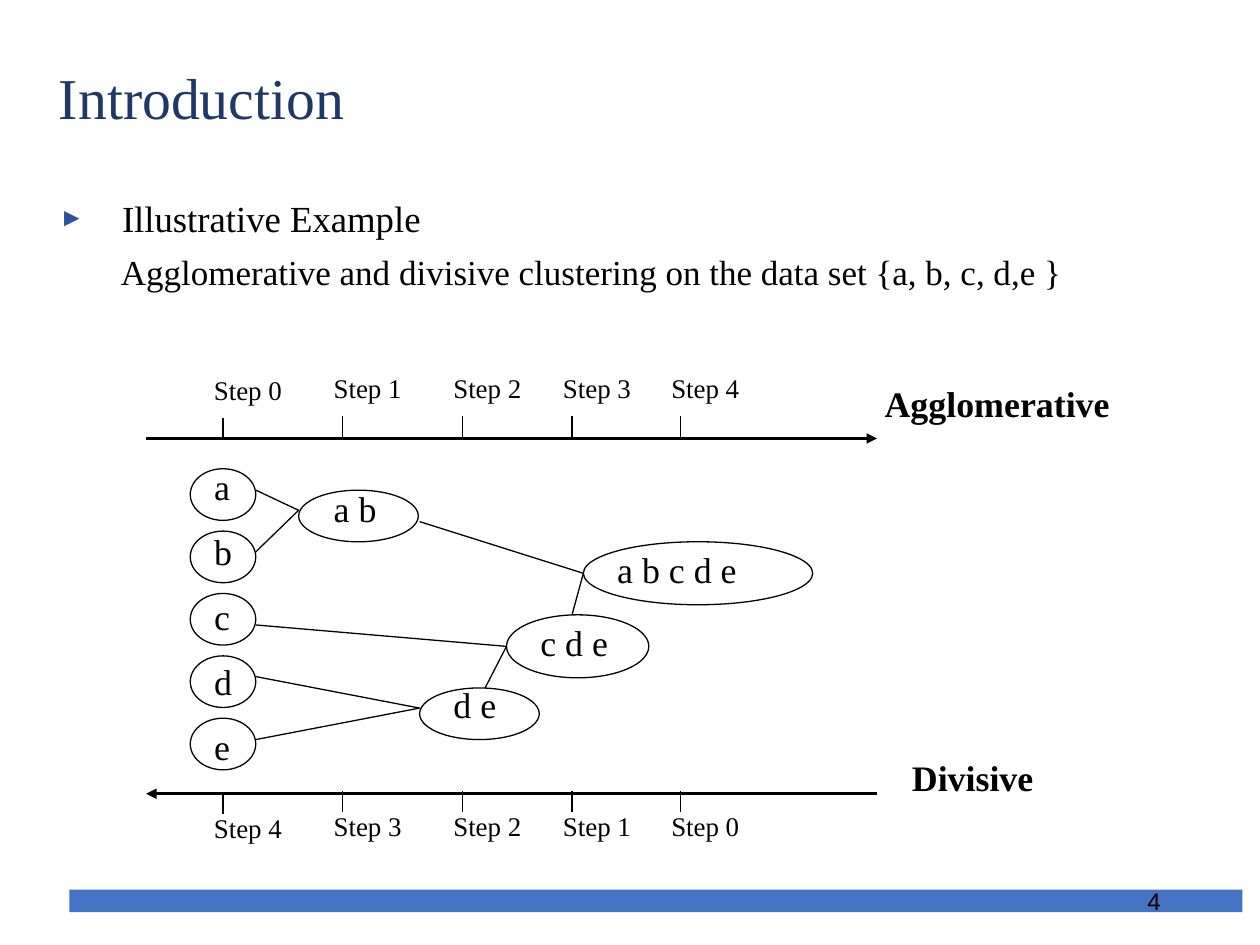
from pptx import Presentation
from pptx.dml.color import RGBColor
from pptx.enum.shapes import MSO_CONNECTOR, MSO_SHAPE
from pptx.enum.text import MSO_ANCHOR, MSO_AUTO_SIZE, PP_ALIGN
from pptx.oxml.ns import qn
from pptx.util import Inches, Pt
from lxml.etree import SubElement

HUES = {"ink": "000000", "title": "203864", "mark": "2F5597", "bar": "4472C4"}
SERIF = "Times New Roman"
STEPS = (17.7, 27.2, 36.7, 45.4, 54)


class Board:
    """Style and slide; lengths are cells of a 100 by 75 grid."""

    def __init__(self, deck):
        self.slide = deck.slides.add_slide(deck.slide_layouts[6])
        self.items = self.slide.shapes
        self.cell = deck.slide_width / 100

    def grid(self, *cells):
        return [round(c * self.cell) for c in cells]

    def hue(self, name):
        return RGBColor.from_string(HUES[name])

    def style(self, para, text, size, hue="ink", face=SERIF, bold=False):
        para.text = text
        font = para.font
        font.name, font.size, font.bold = face, Pt(size), bold
        font.color.rgb = self.hue(hue)

    def text(self, box, text, size, align=PP_ALIGN.LEFT, mid=False,
             wrap=True, **look):
        frame = self.items.add_textbox(*self.grid(*box)).text_frame
        frame.word_wrap = wrap
        if not wrap:
            frame.auto_size = MSO_AUTO_SIZE.SHAPE_TO_FIT_TEXT
        frame.vertical_anchor = MSO_ANCHOR.MIDDLE if mid else MSO_ANCHOR.TOP
        para = frame.paragraphs[0]
        para.alignment = align
        self.style(para, text, size, **look)
        return frame

    def shape(self, kind, box, fill=None):
        item = self.items.add_shape(kind, *self.grid(*box))
        item.shadow.inherit = False
        if fill:
            item.fill.solid()
            item.fill.fore_color.rgb = self.hue(fill)
            item.line.fill.background()
        else:
            item.fill.background()
            item.line.color.rgb = self.hue("ink")
            item.line.width = Pt(0.75)

    def line(self, x1, y1, x2, y2, width=0.75, arrow=None):
        link = self.items.add_connector(
            MSO_CONNECTOR.STRAIGHT, *self.grid(x1, y1, x2, y2))
        link.line.color.rgb = self.hue("ink")
        link.line.width = Pt(width)
        if arrow:
            SubElement(link.line._get_or_add_ln(), qn("a:" + arrow),
                       type="triangle")
        SubElement(link._element.spPr, qn("a:effectLst"))

    def indent(self, para, left, first, before):
        para.line_spacing = 1.1
        para.space_before = Pt(before)
        props = para._p.get_or_add_pPr()
        props.set("marL", str(Inches(left)))
        props.set("indent", str(Inches(first)))
        return props

    def bullet(self, props, mark):
        tint = SubElement(props, qn("a:buClr"))
        SubElement(tint, qn("a:srgbClr"), val=HUES["mark"])
        SubElement(props, qn("a:buSzPct"), val="70000")
        SubElement(props, qn("a:buFont"), typeface="Arial")
        SubElement(props, qn("a:buChar"), char=mark)

    def node(self, text, box, spot):
        """A cluster: its members, and an ellipse around them."""
        width = 2.4 + 1.02 * len(text)
        self.text((*spot, width, 4.5), text, 20.5, wrap=False)
        self.shape(MSO_SHAPE.OVAL, box)

    def axis(self, y, tick, label, names, arrow):
        """A time line with a tick and a label for each step."""
        self.line(11.6, y, 69.6, y, 1.5, arrow)
        for i, (x, name) in enumerate(zip(STEPS, names)):
            drop = 0 if i else 0.15
            self.line(x, tick + drop, x, tick + drop + 1.65)
            self.text((x - 1.7, label + drop, 8.7, 3.6), name, 15.4)


def main():
    deck = Presentation()
    deck.slide_width, deck.slide_height = Inches(10), Inches(7.5)
    board = Board(deck)

    # Footer bar and page number
    board.shape(MSO_SHAPE.RECTANGLE, (5.5, 70.6, 93.1, 1.8), "bar")
    board.text((70.6, 69.5, 22.5, 4), "4", 13.7, PP_ALIGN.RIGHT, True,
               face="Arial")

    # Title and body
    title = board.text((3.7, 2.1, 96.3, 11.8), "Introduction", 33, mid=True,
                       hue="title")
    title.paragraphs[0].line_spacing = 0.9
    body = board.text((3.7, 14.7, 93.5, 53.4), "Illustrative Example", 21)
    board.bullet(board.indent(body.paragraphs[0], 0.5, -0.5, 7.5), "►")
    para = body.add_paragraph()
    board.style(para, "Agglomerative and divisive clustering on the data set "
                "{a, b, c, d,e }", 20)
    para.level = 1
    board.indent(para, 0.92, -0.43, 3.8)

    # Time lines, one for each direction
    names = [f"Step {i}" for i in range(len(STEPS))]
    board.axis(34.8, 33, 29, names, "tailEnd")
    board.axis(63, 62.8, 63.8, names[::-1], "headEnd")

    # Single items
    for i, name in enumerate("abcde"):
        board.node(name, (15.1, 37.2 + 4.95 * i, 5.2, 4.1),
                   (16, 36.4 + 5.15 * i))

    # Merged clusters: members, ellipse, text corner
    for name, box, spot in (
            ("a b", (23.7, 38.9, 9.5, 4.1), (25.5, 38.1)),
            ("d e", (33.3, 54.6, 9.5, 4.1), (35, 53.7)),
            ("c d e", (40.2, 48.8, 11.3, 5), (41.9, 48.8)),
            ("a b c d e", (46.3, 43, 18.2, 5), (48, 43))):
        board.node(name, box, spot)

    # Links that run into each cluster
    for end, starts in (
            ((23.7, 40.5), ((20.3, 38.9), (20.3, 43.8))),
            ((33.3, 56.2), ((20.3, 53.7), (20.3, 58.7))),
            ((40.2, 51.3), ((20.3, 49.6), (38.5, 54.6))),
            ((46.3, 45.5), ((33.3, 41.4), (45.4, 48.8)))):
        for start in starts:
            board.line(*start, *end)

    # Names of the two directions
    for name, box in (("Agglomerative", (69.1, 29.8, 20.1, 4.5)),
                      ("Divisive", (71.3, 59.5, 11.8, 4.5))):
        board.text(box, name, 20.5, PP_ALIGN.CENTER, wrap=False, bold=True)

    deck.save("out.pptx")


if __name__ == "__main__":
    main()
